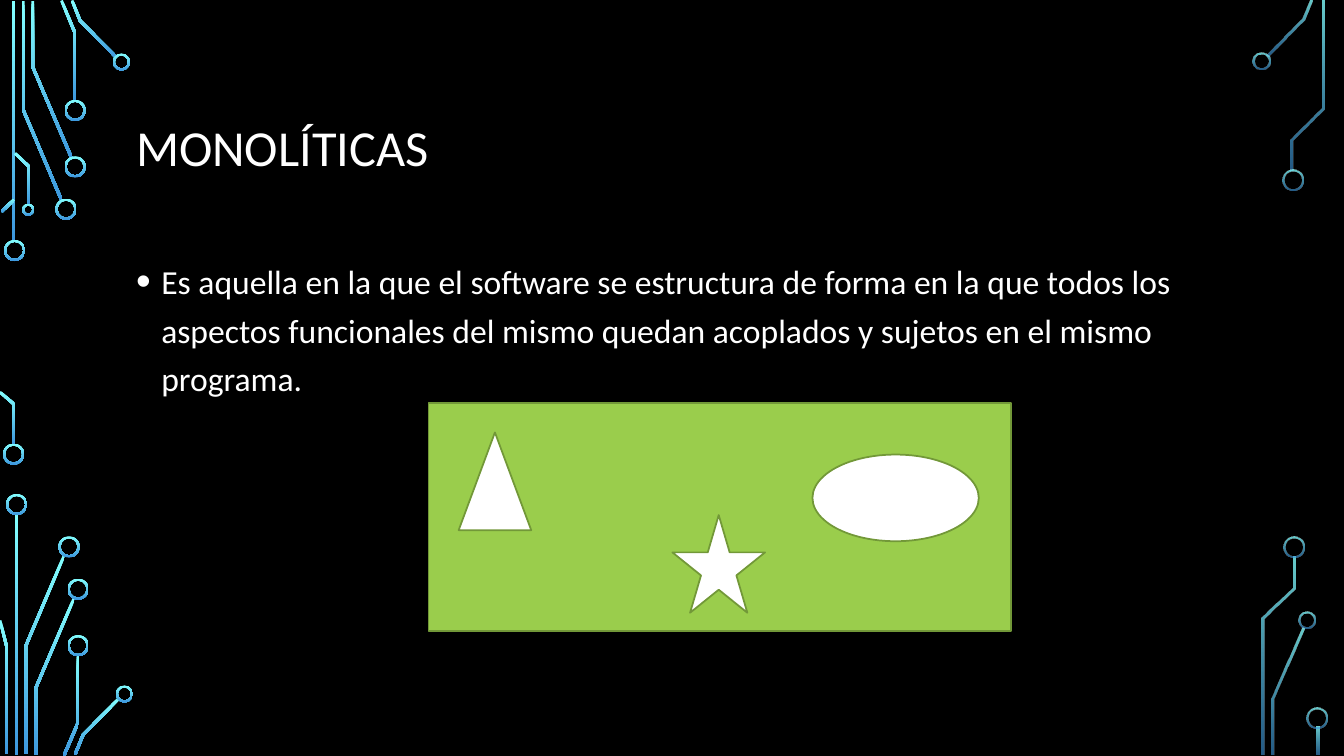
"""Build the slide on monolithic architecture, framed by circuit traces."""
import math

from lxml import etree
from pptx import Presentation
from pptx.dml.color import RGBColor
from pptx.enum.shapes import MSO_SHAPE
from pptx.enum.text import MSO_ANCHOR, MSO_AUTO_SIZE, PP_ALIGN
from pptx.oxml.ns import qn
from pptx.util import Inches, Pt

RECTANGLE, TRIANGLE = MSO_SHAPE.RECTANGLE, MSO_SHAPE.ISOSCELES_TRIANGLE
STAR, OVAL, DONUT = MSO_SHAPE.STAR_5_POINT, MSO_SHAPE.OVAL, MSO_SHAPE.DONUT
TOP, MIDDLE, LEFT = MSO_ANCHOR.TOP, MSO_ANCHOR.MIDDLE, PP_ALIGN.LEFT
NO_AUTOFIT = MSO_AUTO_SIZE.NONE

BLACK = RGBColor(0x00, 0x00, 0x00)
WHITE = RGBColor(0xFF, 0xFF, 0xFF)
GREEN = RGBColor(0x9A, 0xCD, 0x4C)
DARK_GREEN = RGBColor(0x72, 0x98, 0x38)
CYAN = RGBColor(0x82, 0xFF, 0xFF)
BLUE = RGBColor(0x3D, 0x97, 0xDE)

FONT = "Calibri"
CELL = Inches(0.1)
COLUMNS, ROWS = 133.33, 75
TRACE_WIDTH, RING_WIDTH = 0.28, 0.2
OPAQUE, FADED = (100, 100), (80, 60)
LARGE, SMALL, TINY = 2.1, 1.7, 1.2

LEFT_STEMS = [(1.2, 0.1, 23.9), (1.5, 51, 23.9)]
LEFT_TRACES = [
    [(6.1, 19.85), (2.3, 10.9), (2.3, 0.1)],
    [(7.1, 15.65), (3.25, 6.65), (3.25, 0.1)],
    [(7.45, 10), (7.45, 3.3), (6.1, 0.05)],
    [(11.55, 5.7), (7.95, 2.05), (7.15, 0.05)],
    [(0.15, 21), (1.4, 19.8)],
    [(1.4, 44.1), (1.4, 40.1), (0, 38.9)],
    [(2.9, 20.3), (2.9, 16.55), (1.5, 15.2)],
    [(2.55, 74.8), (2.55, 64.1), (6.35, 55.15)],
    [(0.65, 74.8), (0.65, 64.1), (0, 61.55)],
    [(3.55, 74.9), (3.55, 68.25), (7.35, 59.35)],
    [(6.35, 74.95), (7.75, 71.7), (7.75, 65)],
    [(7.45, 74.85), (8.25, 72.9), (11.8, 69.3)],
]
LEFT_RINGS = [
    (0.4, 23.8, LARGE), (0.3, 44, LARGE), (5.5, 19.7, LARGE),
    (6.4, 15.5, LARGE), (6.4, 9.9, LARGE), (11.2, 5.3, SMALL),
    (2.2, 20.2, TINY), (0.6, 49, LARGE), (5.8, 53.2, LARGE),
    (6.7, 57.4, LARGE), (6.7, 63, LARGE), (11.5, 68, SMALL),
]
RIGHT_STEMS = [(130.6, 72.1, 2.8)]
RIGHT_TRACES = [
    [(125.7, 5.55), (129.25, 1.95), (130.05, 0.05)],
    [(126.25, 74.9), (126.25, 69.35), (129.3, 62.35)],
    [(128.2, 16.9), (128.2, 13.85), (131.25, 10.75), (131.25, 0.1)],
    [(125.25, 74.9), (125.25, 61.35), (128.35, 58.35), (128.35, 55.2)],
]
RIGHT_RINGS = [
    (124.3, 5.2, SMALL), (127.2, 16.8, LARGE), (128.8, 60.7, SMALL),
    (127.3, 53.2, LARGE), (129.6, 70.2, LARGE),
]


def cells(*values):
    """Convert grid cells to slide units."""
    return [round(value * CELL) for value in values]


def ribbon(points, width):
    """Return the outline of a band with mitred corners along the points."""
    normals = []
    for (x1, y1), (x2, y2) in zip(points, points[1:]):
        length = math.hypot(x2 - x1, y2 - y1)
        normals.append(((y1 - y2) / length, (x2 - x1) / length))
    one_side, other_side = [], []
    before_after = zip(normals[:1] + normals, normals + normals[-1:])
    for (x, y), ((ax, ay), (bx, by)) in zip(points, before_after):
        reach = width / 2 / (1 + ax * bx + ay * by)
        dx, dy = (ax + bx) * reach, (ay + by) * reach
        one_side.append((x + dx, y + dy))
        other_side.append((x - dx, y - dy))
    return one_side + other_side[::-1]


class SlideBuilder:
    """Hold the style and the slide, and add each kind of element."""

    def __init__(self, slide):
        """Take the slide and paint its background."""
        self.slide = slide
        self.shapes = slide.shapes
        slide.background.fill.solid()
        slide.background.fill.fore_color.rgb = BLACK

    def preset(self, kind, left, top, width, height):
        """Add a preset shape without shadow."""
        shape = self.shapes.add_shape(kind, *cells(left, top, width, height))
        shape.shadow.inherit = False
        return shape

    def figure(self, kind, left, top, width, height, color):
        """Add a filled and outlined figure."""
        shape = self.preset(kind, left, top, width, height)
        shape.fill.solid()
        shape.fill.fore_color.rgb = color
        shape.line.color.rgb = DARK_GREEN
        shape.line.width = Pt(1.25)

    def glow(self, shape, opacities):
        """Fill a circuit part from cyan at the top to blue at the bottom."""
        shape.line.fill.background()
        shape.fill.gradient()
        shape.fill.gradient_angle = 270
        for stop, color, opacity in zip(shape.fill.gradient_stops, (CYAN, BLUE), opacities):
            stop.color.rgb = color
            stop.position = 0 if color == CYAN else 1
        if opacities != OPAQUE:
            colors = shape.element.spPr.iter(qn("a:srgbClr"))
            for color, opacity in zip(list(colors), opacities):
                etree.SubElement(color, qn("a:alpha"), val=str(opacity * 1000))

    def trace(self, points, opacities):
        """Add a bent circuit trace."""
        start, *rest = [cells(*point) for point in ribbon(points, TRACE_WIDTH)]
        builder = self.shapes.build_freeform(*start)
        builder.add_line_segments(rest, close=True)
        shape = builder.convert_to_shape()
        shape.shadow.inherit = False
        self.glow(shape, opacities)

    def circuit(self, stems, traces, rings, opacities):
        """Add the stems, traces and ring ends of one side."""
        for left, top, height in stems:
            self.glow(self.preset(RECTANGLE, left, top, TRACE_WIDTH, height), opacities)
        for points in traces:
            self.trace(points, opacities)
        for left, top, size in rings:
            ring = self.preset(DONUT, left, top, size, size)
            ring.adjustments[0] = RING_WIDTH / size
            self.glow(ring, opacities)

    def text(self, shape, box, words, size, spacing, anchor, bullet=False):
        """Place a placeholder in front and write one paragraph in it."""
        self.shapes.element.append(shape.element)
        shape.left, shape.top, shape.width, shape.height = cells(*box)
        frame = shape.text_frame
        frame.text = words
        frame.word_wrap = True
        frame.auto_size = NO_AUTOFIT
        frame.vertical_anchor = anchor
        paragraph = frame.paragraphs[0]
        paragraph.alignment = LEFT
        paragraph.line_spacing = spacing
        paragraph.space_before = Pt(10 if bullet else 0)
        if bullet:
            properties = paragraph._p.get_or_add_pPr()
            properties.set("marL", str(Inches(0.25)))
            properties.set("indent", str(-Inches(0.25)))
            etree.SubElement(properties, qn("a:buSzPct"), val="125000")
            etree.SubElement(properties, qn("a:buFont"), typeface="Arial")
            etree.SubElement(properties, qn("a:buChar"), char="•")
        paragraph.font.name = FONT
        paragraph.font.size = Pt(size)
        paragraph.font.color.rgb = WHITE


presentation = Presentation()
presentation.slide_width, presentation.slide_height = cells(COLUMNS, ROWS)
slide = presentation.slides.add_slide(presentation.slide_layouts[1])
builder = SlideBuilder(slide)
title, body = slide.placeholders

builder.circuit(LEFT_STEMS, LEFT_TRACES, LEFT_RINGS, OPAQUE)
builder.circuit(RIGHT_STEMS, RIGHT_TRACES, RIGHT_RINGS, FADED)
builder.text(title, (12.5, 6.8, 108.3, 16.2), "MONOLÍTICAS", 36, 0.9, MIDDLE)
builder.text(
    body, (12.5, 24.6, 108.3, 38.7),
    "Es aquella en la que el software se estructura de forma en la que todos los "
    "aspectos funcionales del mismo quedan acoplados y sujetos en el mismo programa.",
    24, 1.2, TOP, bullet=True)
builder.figure(RECTANGLE, 42.5, 40, 57.8, 22.6, GREEN)
builder.figure(TRIANGLE, 45.5, 42.9, 7.2, 9.7, WHITE)
builder.figure(STAR, 66.7, 51.1, 9.2, 9.7, WHITE)
builder.figure(OVAL, 80.6, 45.1, 16.5, 8.6, WHITE)

presentation.save("out.pptx")
